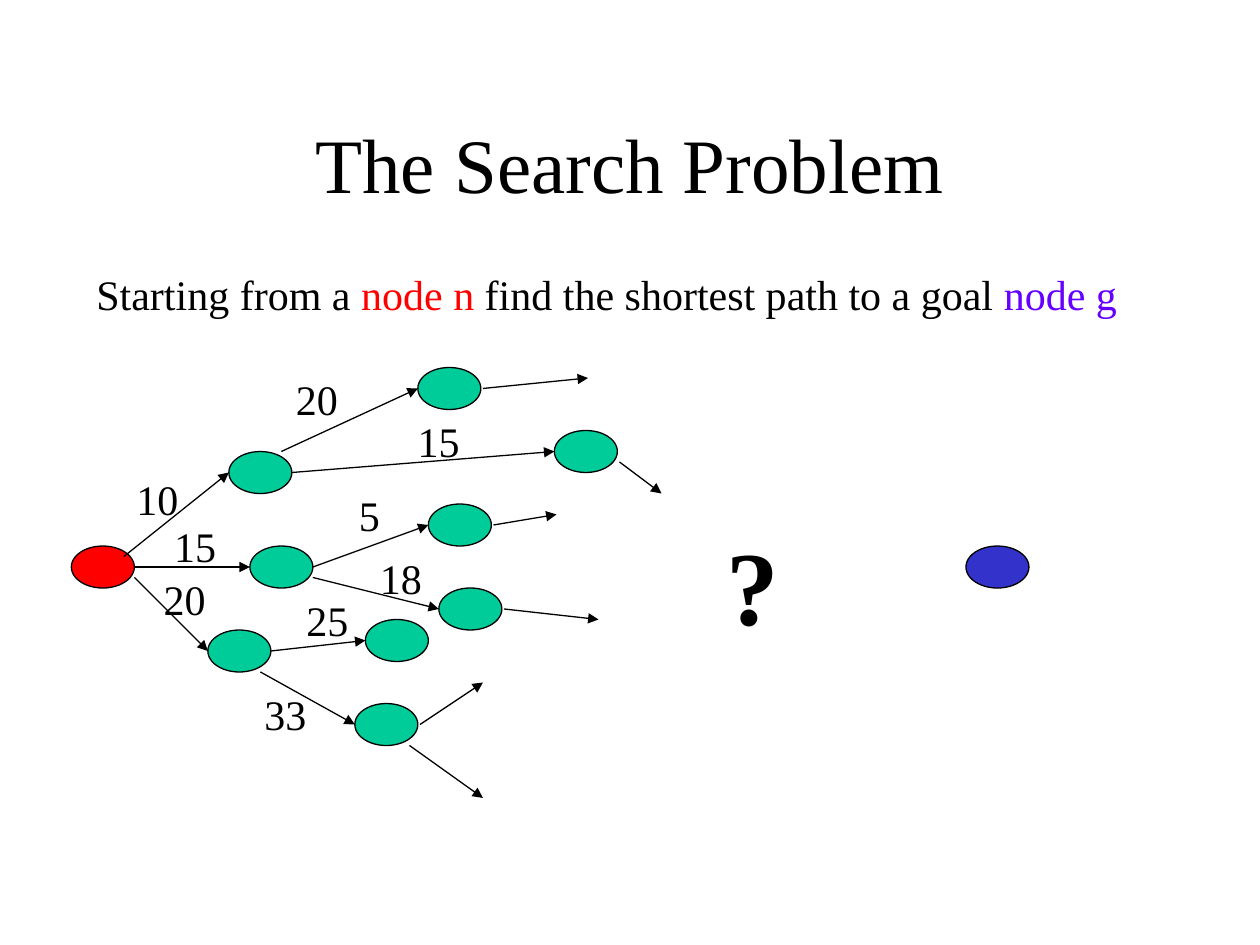
from dataclasses import dataclass

from lxml.etree import SubElement
from pptx import Presentation
from pptx.dml.color import RGBColor
from pptx.enum.shapes import MSO_CONNECTOR as Connector, MSO_SHAPE as Shape
from pptx.enum.text import MSO_ANCHOR as Anchor, PP_ALIGN as Align
from pptx.oxml.ns import qn
from pptx.slide import Slide
from pptx.util import Emu, Pt

PX = 7620  # EMU in one px, 120 px to the inch
NODE_WIDTH, NODE_HEIGHT = 60, 40


@dataclass(frozen=True)
class Theme:
    font: str = "Times New Roman"
    ink: str = "000000"
    start: str = "FF0000"
    goal: str = "3333CC"
    goal_text: str = "6600FF"
    inner: str = "00CC99"
    title_size: int = 44
    text_size: int = 24
    mark_size: int = 60
    line_width: float = 0.75


THEME = Theme()


@dataclass(frozen=True)
class Node:
    left: int
    top: int
    color: str = THEME.inner

    @property
    def entry(self) -> tuple[int, int]:
        """Middle of the left side, where an edge arrives."""
        return self.left, self.top + NODE_HEIGHT // 2


@dataclass(frozen=True)
class Edge:
    tail: tuple[int, int]
    target: Node
    cost: str
    label_at: tuple[int, int]


@dataclass(frozen=True)
class Text:
    left: int
    top: int
    width: int
    height: int
    spans: tuple[tuple[str, str], ...]  # wording and colour
    size: int = THEME.text_size
    bold: bool = False
    align: Align = Align.LEFT
    anchor: Anchor = Anchor.TOP


START = Node(68, 520, THEME.start)
GOAL = Node(920, 520, THEME.goal)
UPPER, MIDDLE, LOWER = Node(218, 430), Node(238, 520), Node(198, 600)
UPPER_NEAR, UPPER_FAR = Node(398, 350), Node(528, 410)
MIDDLE_TOP, MIDDLE_BOTTOM = Node(408, 480), Node(418, 560)
LOWER_TOP, LOWER_BOTTOM = Node(348, 590), Node(338, 670)

EDGES = (
    Edge((118, 530), UPPER, "10", (118, 445)),
    Edge((128, 540), MIDDLE, "15", (154, 490)),
    Edge((128, 550), LOWER, "20", (144, 540)),
    Edge((268, 430), UPPER_NEAR, "20", (270, 350)),
    Edge((278, 450), UPPER_FAR, "15", (386, 390)),
    Edge((298, 540), MIDDLE_TOP, "5", (330, 460)),
    Edge((298, 550), MIDDLE_BOTTOM, "18", (350, 520)),
    Edge((258, 620), LOWER_TOP, "25", (280, 560)),
    Edge((248, 640), LOWER_BOTTOM, "33", (240, 650)),
)

OPEN_ARROWS = (
    ((460, 370), (560, 360)),
    ((590, 440), (630, 470)),
    ((470, 500), (530, 490)),
    ((480, 580), (570, 590)),
    ((400, 690), (460, 650)),
    ((390, 710), (460, 760)),
)

TEXTS = (
    Text(90, 80, 1020, 150, (("The Search Problem", THEME.ink),),
         size=THEME.title_size, align=Align.CENTER, anchor=Anchor.MIDDLE),
    Text(80, 250, 1020, 540, (
        ("Starting from a ", THEME.ink),
        ("node n", THEME.start),
        (" find the shortest path to a goal ", THEME.ink),
        ("node g", THEME.goal_text),
    )),
    Text(680, 490, 76, 132, (("?", THEME.ink),), size=THEME.mark_size, bold=True),
)


def px(*lengths: int) -> list[Emu]:
    return [Emu(length * PX) for length in lengths]


def rgb(color: str) -> RGBColor:
    return RGBColor.from_string(color)


def draw_text(page: Slide, text: Text) -> None:
    box = page.shapes.add_textbox(*px(text.left, text.top, text.width, text.height))
    frame = box.text_frame
    frame.word_wrap = True
    frame.vertical_anchor = text.anchor
    para = frame.paragraphs[0]
    para.alignment = text.align
    para.font.name = THEME.font
    para.font.size = Pt(text.size)
    para.font.bold = text.bold
    for wording, color in text.spans:
        span = para.add_run()
        span.text = wording
        span.font.color.rgb = rgb(color)


def draw_node(page: Slide, node: Node) -> None:
    oval = page.shapes.add_shape(
        Shape.OVAL, *px(node.left, node.top, NODE_WIDTH, NODE_HEIGHT))
    oval.shadow.inherit = False
    oval.fill.solid()
    oval.fill.fore_color.rgb = rgb(node.color)
    oval.line.color.rgb = rgb(THEME.ink)
    oval.line.width = Pt(THEME.line_width)


def draw_arrow(page: Slide, tail: tuple[int, int], tip: tuple[int, int]) -> None:
    arrow = page.shapes.add_connector(Connector.STRAIGHT, *px(*tail, *tip))
    arrow.line.color.rgb = rgb(THEME.ink)
    arrow.line.width = Pt(THEME.line_width)
    SubElement(arrow.line._get_or_add_ln(), qn("a:tailEnd"), type="triangle")
    SubElement(arrow._element.spPr, qn("a:effectLst"))


def draw_cost(page: Slide, edge: Edge) -> None:
    draw_text(page, Text(*edge.label_at, 66, 60, ((edge.cost, THEME.ink),)))


def main() -> None:
    deck = Presentation()
    deck.slide_width, deck.slide_height = px(1200, 900)
    page = deck.slides.add_slide(deck.slide_layouts[6])

    for text in TEXTS:
        draw_text(page, text)
    for node in (START, GOAL, *(edge.target for edge in EDGES)):
        draw_node(page, node)
    for edge in EDGES:
        draw_arrow(page, edge.tail, edge.target.entry)
        draw_cost(page, edge)
    for tail, tip in OPEN_ARROWS:
        draw_arrow(page, tail, tip)

    deck.save("out.pptx")


if __name__ == "__main__":
    main()
